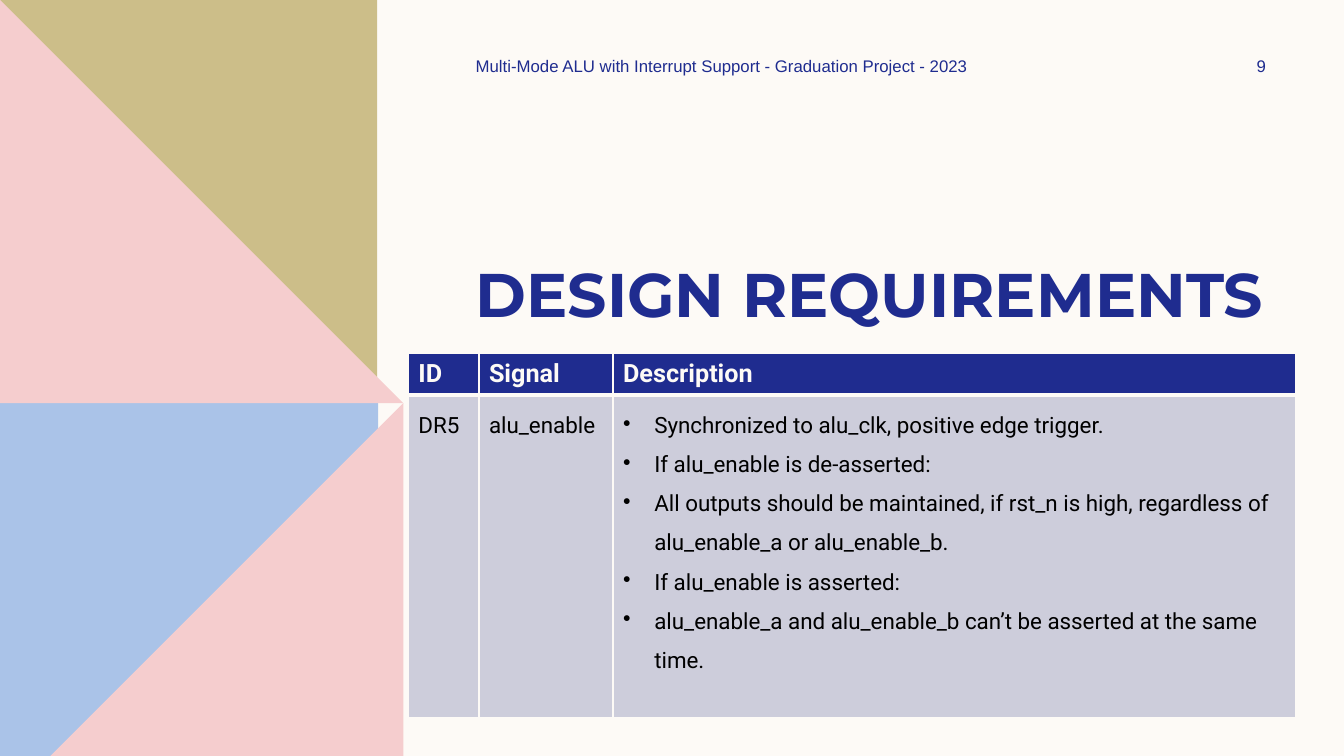
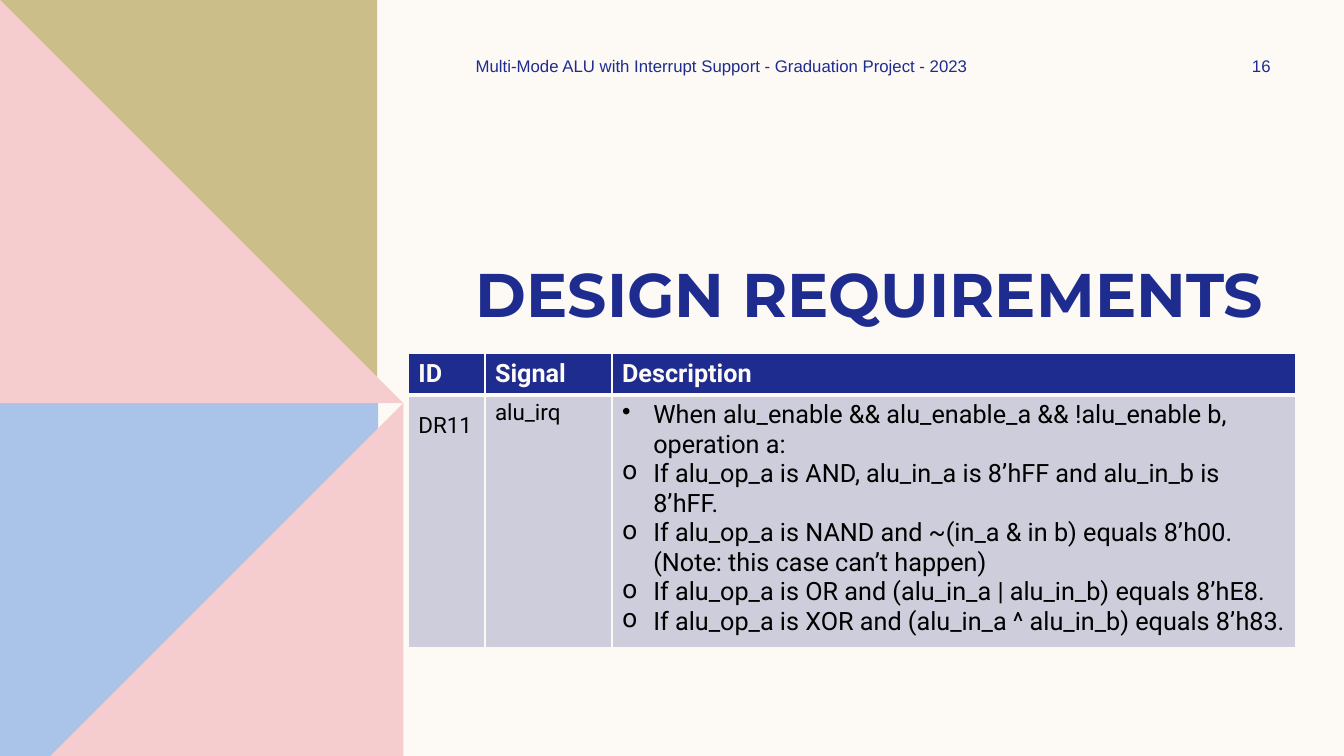
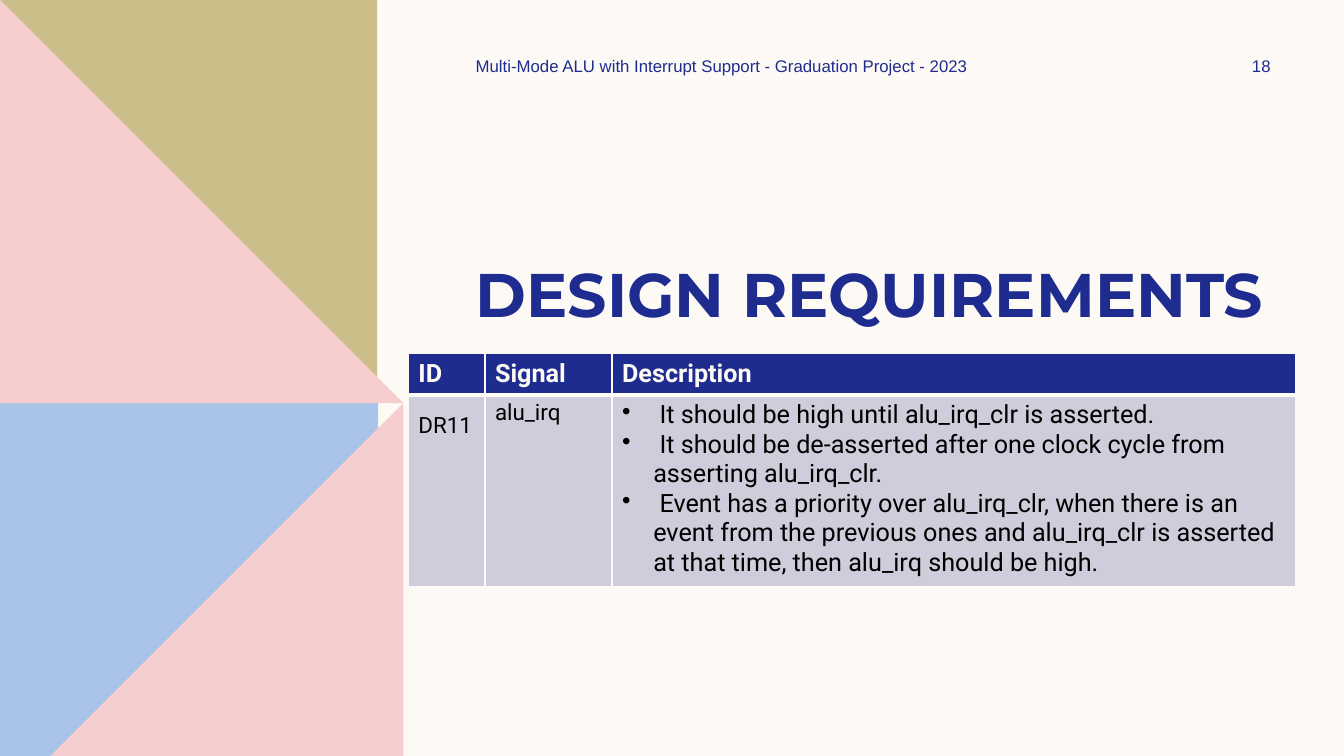
from dataclasses import dataclass

from lxml.etree import SubElement
from pptx import Presentation
from pptx.dml.color import RGBColor
from pptx.enum.shapes import MSO_SHAPE as Preset
from pptx.enum.text import MSO_ANCHOR as Anchor, PP_ALIGN as Align
from pptx.oxml.ns import qn
from pptx.util import Inches, Pt


@dataclass(frozen=True)
class Theme:
    cream: RGBColor = RGBColor.from_string("FDFAF6")
    navy: RGBColor = RGBColor.from_string("1F2C8F")
    blue: RGBColor = RGBColor.from_string("AAC3E8")
    pink: RGBColor = RGBColor.from_string("F5CDCE")
    olive: RGBColor = RGBColor.from_string("CCBE89")
    grey: RGBColor = RGBColor.from_string("CDCDDB")
    black: RGBColor = RGBColor.from_string("000000")
    title_font: str = "Montserrat"
    label_font: str = "Arial"
    table_font: str = "Roboto"
    title_size: int = 44
    label_size: int = 12
    header_size: int = 18
    body_size: int = 16


theme = Theme()

TITLE = "DESIGN REQUIREMENTS"
PROJECT = "Multi-Mode ALU with Interrupt Support - Graduation Project - 2023"
HEADINGS = ["ID", "Signal", "Description"]
TABLE_LEFT, TABLE_TOP, TABLE_WIDTH, HEADER_HEIGHT = 4.05, 3.51, 8.8, 0.41
BULLET_INDENT = 0.31

# Each square: left, top, width, height, colour, then the corners of its pink half.
SQUARES = [
    (0, 3.75, 3.75, 3.75, theme.blue, [(3.75, 3.75), (3.75, 7.5), (0, 7.5)]),
    (0, 0, 3.74, 3.76, theme.olive, [(0, 0), (3.74, 3.76), (0, 3.76)]),
]

# Line spacings run over ID, signal and description.
REQUIREMENTS = [
    dict(
        page="9", id="DR5", signal="alu_enable", narrow_columns=(0.7, 1.33),
        height=3.2, spacings=(1.5, 1.5, 1.5), size=theme.body_size,
        description=[
            ("•", "Synchronized to alu_clk, positive edge trigger."),
            ("•", "If alu_enable is de-asserted:"),
            ("•", "All outputs should be maintained, if rst_n is high, "
                  "regardless of alu_enable_a or alu_enable_b."),
            ("•", "If alu_enable is asserted:"),
            ("•", "alu_enable_a and alu_enable_b can’t be asserted at the same time."),
        ],
    ),
    dict(
        page="16", id="DR11", signal="alu_irq", narrow_columns=(0.76, 1.26),
        height=2.44, spacings=(1.5, 1, 1), size=theme.header_size,
        description=[
            ("•", "When alu_enable && alu_enable_a && !alu_enable b, operation a:"),
            ("o", "If alu_op_a is AND, alu_in_a is 8’hFF and alu_in_b is 8’hFF."),
            ("o", "If alu_op_a is NAND and ~(in_a & in b) equals 8’h00. "
                  "(Note: this case can’t happen)"),
            ("o", "If alu_op_a is OR and (alu_in_a | alu_in_b) equals 8’hE8."),
            ("o", "If alu_op_a is XOR and (alu_in_a ^ alu_in_b) equals 8’h83."),
        ],
    ),
    dict(
        page="18", id="DR11", signal="alu_irq", narrow_columns=(0.76, 1.26),
        height=1.85, spacings=(1.5, 1, 1), size=theme.header_size,
        description=[
            ("•", " It should be high until alu_irq_clr is asserted."),
            ("•", " It should be de-asserted after one clock cycle from "
                  "asserting alu_irq_clr."),
            ("•", " Event has a priority over alu_irq_clr, when there is an event "
                  "from the previous ones and alu_irq_clr is asserted at that time, "
                  "then alu_irq should be high."),
        ],
    ),
]


def write(frame, lines, font, size, color, bold=False, spacing=1, align=Align.LEFT):
    """Fill a text frame with (bullet, text) lines; bullet may be None."""
    frame.word_wrap = True
    for index, (bullet, text) in enumerate(lines):
        paragraph = frame.paragraphs[0] if index == 0 else frame.add_paragraph()
        paragraph.text = text
        if bullet:
            properties = paragraph._p.get_or_add_pPr()
            properties.set("marL", str(Inches(BULLET_INDENT)))
            properties.set("indent", str(-Inches(BULLET_INDENT)))
            SubElement(properties, qn("a:buChar"), char=bullet)
        paragraph.alignment = align
        paragraph.line_spacing = spacing
        paragraph.font.name = font
        paragraph.font.size = Pt(size)
        paragraph.font.color.rgb = color
        paragraph.font.bold = bold


def style_cell(cell, fill, top, bottom):
    """Set the fill and cream borders; top and bottom are widths in points."""
    properties = cell._tc.get_or_add_tcPr()
    for side, width in (("L", 1), ("R", 1), ("T", top), ("B", bottom)):
        line = SubElement(properties, qn(f"a:ln{side}"), w=str(Pt(width)))
        solid = SubElement(line, qn("a:solidFill"))
        SubElement(solid, qn("a:srgbClr"), val=str(theme.cream))
    cell.fill.solid()
    cell.fill.fore_color.rgb = fill


deck = Presentation()
deck.slide_width, deck.slide_height = Inches(13.33), Inches(7.5)
deck.slide_master.background.fill.solid()
deck.slide_master.background.fill.fore_color.rgb = theme.cream

for requirement in REQUIREMENTS:
    slide = deck.slides.add_slide(deck.slide_layouts[6])
    shapes = slide.shapes

    for left, top, width, height, color, corners in SQUARES:
        square = shapes.add_shape(
            Preset.RECTANGLE, Inches(left), Inches(top), Inches(width), Inches(height))
        outline = shapes.build_freeform(*corners[0], scale=Inches(1))
        outline.add_line_segments(corners[1:], close=True)
        half = outline.convert_to_shape()
        for part, part_color in ((square, color), (half, theme.pink)):
            part.shadow.inherit = False
            part.fill.solid()
            part.fill.fore_color.rgb = part_color
            part.line.fill.background()

    title = shapes.add_textbox(Inches(4.62), Inches(2.49), Inches(8.81), Inches(0.84))
    write(title.text_frame, [(None, TITLE)], theme.title_font, theme.title_size,
          theme.navy, bold=True)

    for text, left, width, align in (
        (PROJECT, 4.62, 6, Align.LEFT),
        (requirement["page"], 11.97, 1.08, Align.CENTER),
    ):
        label = shapes.add_textbox(Inches(left), Inches(0.5), Inches(width), Inches(0.3))
        label.text_frame.vertical_anchor = Anchor.MIDDLE
        write(label.text_frame, [(None, text)], theme.label_font, theme.label_size,
              theme.navy, align=align)

    table = shapes.add_table(
        2, len(HEADINGS), Inches(TABLE_LEFT), Inches(TABLE_TOP), Inches(TABLE_WIDTH),
        Inches(HEADER_HEIGHT + requirement["height"])).table
    table.rows[0].height = Inches(HEADER_HEIGHT)
    table.rows[1].height = Inches(requirement["height"])
    narrow = requirement["narrow_columns"]
    widths = (*narrow, TABLE_WIDTH - sum(narrow))
    contents = ([(None, requirement["id"])], [(None, requirement["signal"])],
                requirement["description"])
    sizes = (theme.body_size, theme.body_size, requirement["size"])
    for column, heading in enumerate(HEADINGS):
        table.columns[column].width = Inches(widths[column])
        header, body = table.cell(0, column), table.cell(1, column)
        style_cell(header, theme.navy, top=1, bottom=3)
        style_cell(body, theme.grey, top=3, bottom=1)
        write(header.text_frame, [(None, heading)], theme.table_font,
              theme.header_size, theme.cream, bold=True)
        write(body.text_frame, contents[column], theme.table_font, sizes[column],
              theme.black, spacing=requirement["spacings"][column])

deck.save("out.pptx")
